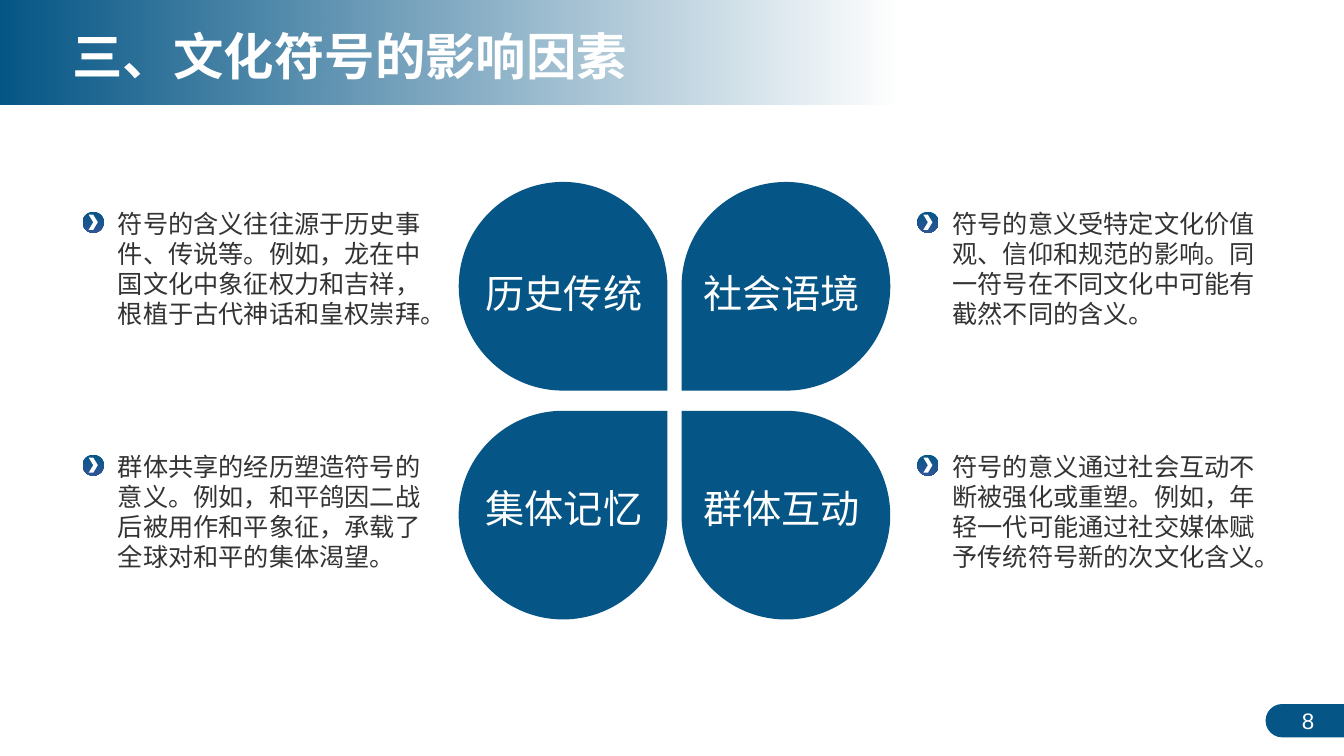
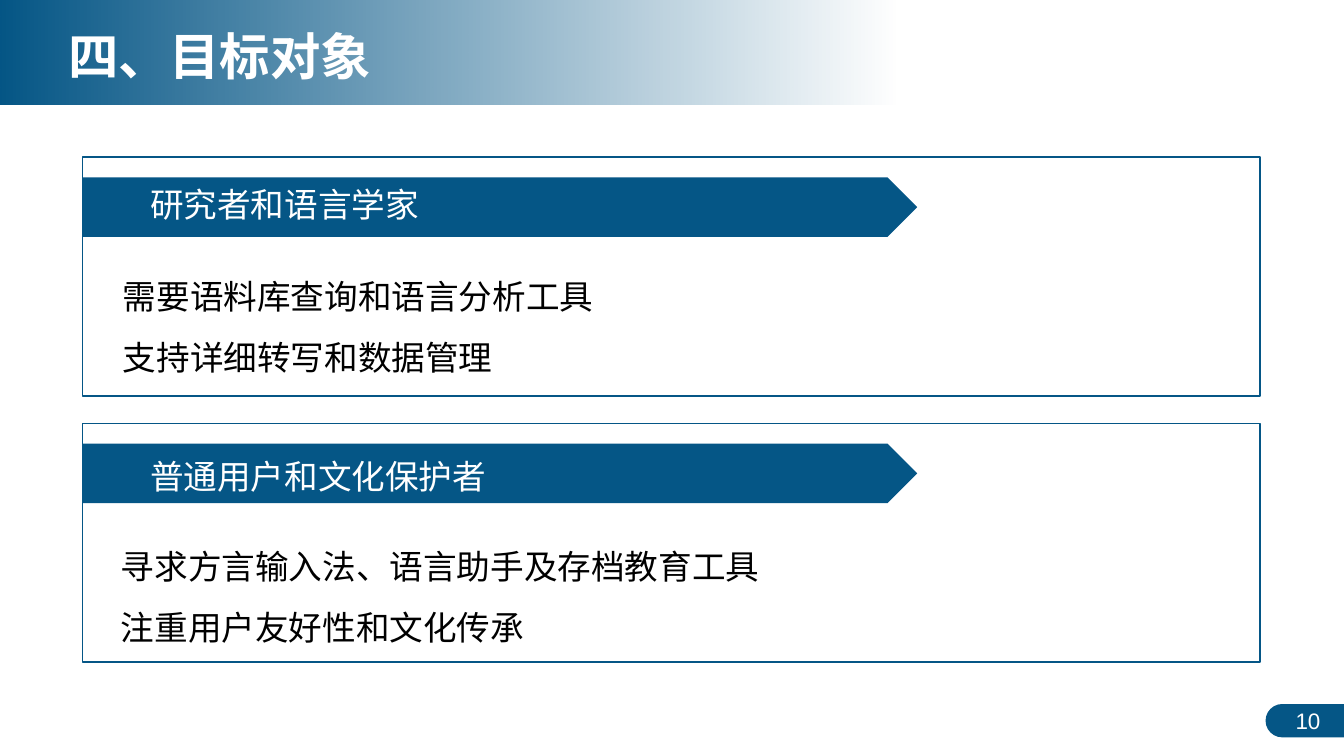
from lxml.etree import SubElement
from pptx import Presentation
from pptx.dml.color import RGBColor
from pptx.enum.lang import MSO_LANGUAGE_ID as Language
from pptx.enum.shapes import MSO_SHAPE as Shape
from pptx.enum.text import MSO_ANCHOR as Anchor, MSO_AUTO_SIZE as AutoSize, PP_ALIGN as Align
from pptx.oxml.ns import qn
from pptx.util import Inches, Pt

BLUE = RGBColor(0x05, 0x56, 0x86)
INDIGO = RGBColor(0x2F, 0x55, 0x97)
WHITE = RGBColor(0xFF, 0xFF, 0xFF)
BLACK = RGBColor(0x00, 0x00, 0x00)
GREY = RGBColor(0x33, 0x33, 0x33)
LATIN, CHINESE = "Arial", "Noto Sans CJK SC"


def write(frame, text, size=18, color=BLACK, font=LATIN, bold=False,
          align=Align.LEFT, anchor=Anchor.TOP, spacing=None):
    """Fill a text frame, one paragraph for each line of text."""
    frame.word_wrap = True
    frame.auto_size = AutoSize.NONE
    frame.vertical_anchor = anchor
    for number, line in enumerate(text.split("\n")):
        para = frame.add_paragraph() if number else frame.paragraphs[0]
        para.alignment = align
        para.line_spacing = spacing
        span = para.add_run()
        span.text = line
        span.font.size, span.font.bold, span.font.name = Pt(size), bold, font
        span.font.color.rgb = color
        span.font.language_id = Language.SIMPLIFIED_CHINESE
        SubElement(span.font._element, qn("a:ea"), typeface=CHINESE)


def shade(shape, start, end, angle, end_alpha=None):
    """Give a shape a two-colour gradient, with an optional end opacity."""
    shape.fill.gradient()
    shape.fill.gradient_angle = angle
    stops = shape.fill.gradient_stops
    for stop, position, color in zip(stops, (0, 1), (start, end)):
        stop.position = position
        stop.color.rgb = color
    if end_alpha is not None:
        SubElement(stops[1]._gs[0], qn("a:alpha"), val=str(end_alpha))


class Slides:
    """Holds the style and the current page; lengths are percent of the slide."""

    def __init__(self):
        self.deck = Presentation()
        self.deck.slide_width, self.deck.slide_height = Inches(13.33), Inches(7.5)
        self.layout = self.deck.slide_layouts[5]
        self.page = None

    def place(self, left, top, width, height):
        across, down = self.deck.slide_width / 100, self.deck.slide_height / 100
        return [round(length) for length in
                (left * across, top * down, width * across, height * down)]

    def shape(self, kind, *area, fill=None, line=None, rotation=0):
        shape = self.page.shapes.add_shape(kind, *self.place(*area))
        shape.shadow.inherit = False
        shape.rotation = rotation
        if fill is None:
            shape.fill.background()
        else:
            shape.fill.solid()
            shape.fill.fore_color.rgb = fill
        if line is None:
            shape.line.fill.background()
        else:
            shape.line.color.rgb = line
            shape.line.width = Pt(1)
        return shape

    def text(self, text, *area, **style):
        box = self.page.shapes.add_textbox(*self.place(*area))
        write(box.text_frame, text, **style)
        return box

    def furnish_layout(self):
        """Move the title band and the number badge into the shared layout."""
        for holder in list(self.layout.placeholders):
            if holder.placeholder_format.idx:
                holder._element.getparent().remove(holder._element)
        band = self.shape(Shape.RECTANGLE, 0, 0, 67, 13.87)
        shade(band, BLUE, BLUE, 0, end_alpha=0)
        badge = self.shape(Shape.ROUND_2_SAME_RECTANGLE, 95.85, 90.13, 2.48, 10.4,
                           fill=BLUE, rotation=270)
        badge.adjustments[0], badge.adjustments[1] = 0.5, 0
        for shape in (badge, band):
            self.layout.shapes._spTree.insert(2, shape._element)

    def add_page(self, title, number, title_left):
        self.page = self.deck.slides.add_slide(self.layout)
        if len(self.deck.slides) == 1:
            self.furnish_layout()
        holder = self.page.shapes.title
        holder.left, holder.top, holder.width, holder.height = self.place(
            title_left, 2.67, 46, 9.47)
        write(holder.text_frame, title, size=36, color=WHITE, bold=True)
        self.text(str(number), 95.33, 92.67, 3.98, 5.33, size=16, color=WHITE,
                  align=Align.CENTER, anchor=Anchor.MIDDLE)

    def petal(self, label, column, row, rotation):
        """Draw a teardrop whose tip points to the middle of the flower."""
        self.shape(Shape.TEAR, 34.13 + 16.58 * column, 24.07 + 30.27 * row,
                   15.53, 27.6, fill=BLUE, rotation=rotation)
        self.text(label, 35.4 + 16.2 * column, 34.93 + 28.53 * row, 15.5, 7.6,
                  size=28, color=WHITE)

    def note(self, text, column, row):
        left, top = 6.15 + 62.1 * column, 28 + 32.13 * row
        box = self.text(text, left + 1.88, top - 1.13, 24.83, 17.47,
                        color=GREY, font=CHINESE)
        dot = self.shape(Shape.OVAL, left, top, 1.58, 2.8)
        shade(dot, BLUE, INDIGO, 270)
        mark = self.shape(Shape.CHEVRON, left + 0.45, top + 0.4, 0.68, 2, fill=WHITE)
        self.page.shapes.add_group_shape([box, dot, mark])

    def panel(self, heading, body, top, heading_top, body_left, body_top):
        self.shape(Shape.RECTANGLE, 6.15, top, 87.6, 31.6, line=BLUE)
        self.shape(Shape.PENTAGON, 6.15, top + 2.67, 62.1, 7.87, fill=BLUE)
        self.text(heading, 10.43, heading_top, 50.4, 6.67, size=24, color=WHITE)
        self.text(body, body_left, body_top, 83.25, 16.8, size=24, font=CHINESE,
                  spacing=1.5)


def main():
    slides = Slides()

    slides.add_page("三、文化符号的影响因素", 8, title_left=4.65)
    factors = [
        ("历史传统", 0, 0, 90,
         "符号的含义往往源于历史事件、传说等。例如，龙在中国文化中象征权力和吉祥，根植于古代神话和皇权崇拜。"),
        ("社会语境", 1, 0, 180,
         "符号的意义受特定文化价值观、信仰和规范的影响。同一符号在不同文化中可能有截然不同的含义。"),
        ("集体记忆", 0, 1, 0,
         "群体共享的经历塑造符号的意义。例如，和平鸽因二战后被用作和平象征，承载了全球对和平的集体渴望。"),
        ("群体互动", 1, 1, 270,
         "符号的意义通过社会互动不断被强化或重塑。例如，年轻一代可能通过社交媒体赋予传统符号新的次文化含义。"),
    ]
    for label, column, row, rotation, text in factors:
        slides.petal(label, column, row, rotation)
        slides.note(text, column, row)

    slides.add_page("四、目标对象", 10, title_left=4.35)
    slides.panel("研究者和语言学家",
                 "需要语料库查询和语言分析工具\n支持详细转写和数据管理",
                 top=20.8, heading_top=23.73, body_left=8.4, body_top=33.2)
    slides.panel("普通用户和文化保护者",
                 "寻求方言输入法、语言助手及存档教育工具\n注重用户友好性和文化传承",
                 top=56, heading_top=59.6, body_left=8.25, body_top=68.93)

    slides.deck.save("out.pptx")


if __name__ == "__main__":
    main()
